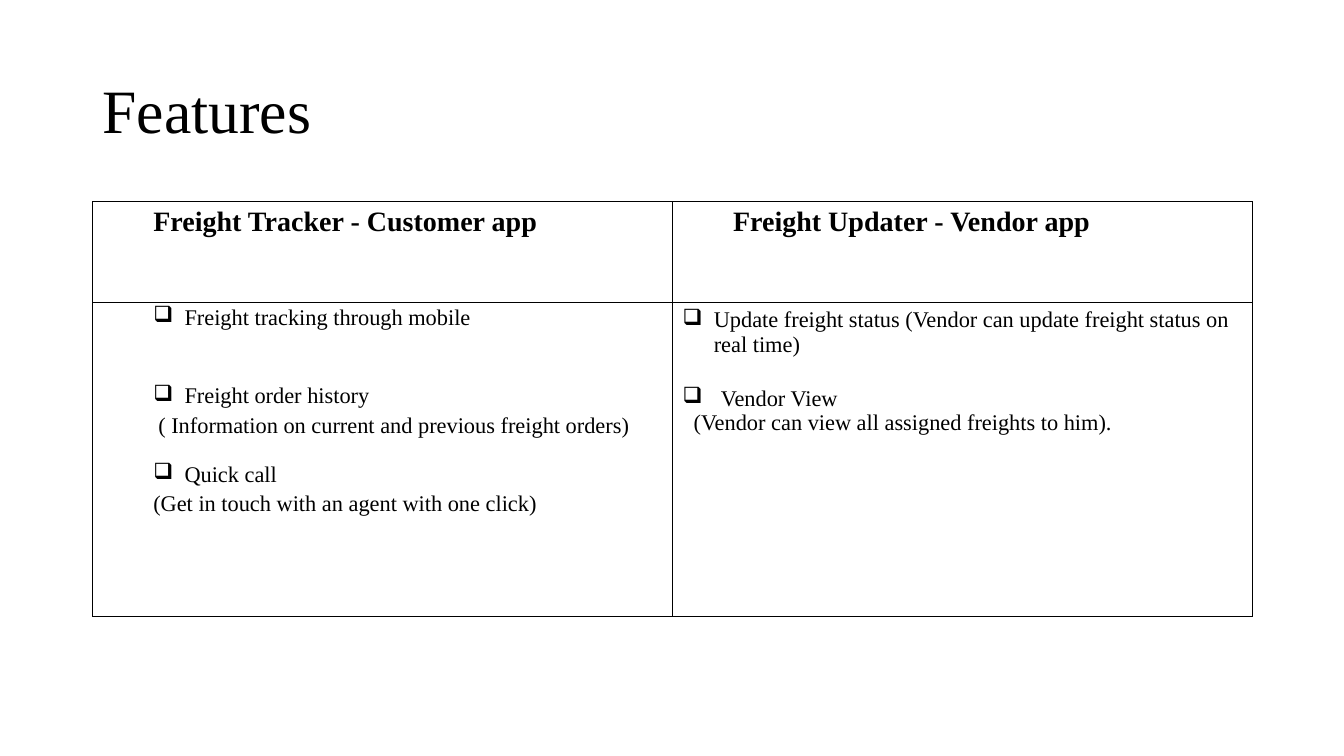
"""Build the Features slide comparing the customer and vendor freight apps."""
from dataclasses import dataclass

from lxml import etree
from pptx import Presentation
from pptx import util as u
from pptx.dml.color import RGBColor
from pptx.enum import text
from pptx.oxml.ns import qn

WIDTH, HEIGHT = 13.33, 7.5
LEFT, COLUMN = 0.92, 5.75
TABLE_TOP, HEADER_ROW, FEATURE_ROW = 2.0, 1.0, 0.78
FONT, BLACK, WHITE = "Times New Roman", "000000", "FFFFFF"


@dataclass(frozen=True)
class Line:
    words: str
    size: float = 16
    bold: bool = False
    margin: float = 0
    hanging: float = 0
    spacing: float = 1.0
    before: float = 0
    after: float = 0


def heading(words: str) -> Line:
    return Line(words, size=20, bold=True, margin=0.5, after=12)


def customer_feature(words: str) -> Line:
    return Line(words, margin=0.81, hanging=0.31, spacing=0.9, before=5)


def customer_detail(words: str, margin: float = 0.5) -> Line:
    return Line(words, margin=margin, spacing=0.9, before=5)


def vendor_feature(words: str, hanging: float = 0.31) -> Line:
    return Line(words, margin=hanging, hanging=hanging)


ROWS: list[tuple[list[Line], list[Line]]] = [
    ([heading("Freight Tracker - Customer app")],
     [heading("Freight Updater - Vendor app")]),
    ([customer_feature("Freight tracking through mobile")],
     [vendor_feature("Update freight status (Vendor can update freight status on real time)")]),
    ([customer_feature("Freight order history"),
      customer_detail("( Information on current and previous freight orders)", 0.55)],
     [vendor_feature("Vendor View", 0.38),
      Line("(Vendor can view all assigned freights to him).", margin=0.11)]),
    ([customer_feature("Quick call"),
      customer_detail("(Get in touch with an agent with one click)")], []),
    ([], []),
]


def color(value: str) -> RGBColor:
    return RGBColor.from_string(value)


def write_lines(frame, lines: list[Line]) -> None:
    for index, line in enumerate(lines):
        paragraph = frame.add_paragraph() if index else frame.paragraphs[0]
        paragraph.alignment = text.PP_ALIGN.LEFT
        paragraph.line_spacing = line.spacing
        paragraph.space_before = u.Pt(line.before)
        paragraph.space_after = u.Pt(line.after)
        properties = paragraph._p.get_or_add_pPr()
        properties.set("marL", str(u.Inches(line.margin)))
        properties.set("indent", str(-u.Inches(line.hanging)))
        if line.hanging:
            etree.SubElement(properties, qn("a:buChar")).set("char", "❑")
        run = paragraph.add_run()
        run.text = line.words
        run.font.name = FONT
        run.font.size = u.Pt(line.size)
        run.font.bold = line.bold
        run.font.color.rgb = color(BLACK)


def set_borders(cell, visible: str) -> None:
    properties = cell._tc.get_or_add_tcPr()
    for side in "LRTB":
        border = etree.SubElement(properties, qn(f"a:ln{side}"), w=str(u.Pt(1)))
        if side in visible:
            fill = etree.SubElement(border, qn("a:solidFill"))
            etree.SubElement(fill, qn("a:srgbClr")).set("val", BLACK)
        else:
            etree.SubElement(border, qn("a:noFill"))


def add_title(slide, words: str) -> None:
    shape = slide.shapes.add_textbox(
        u.Inches(LEFT), u.Inches(0.4), u.Inches(2 * COLUMN), u.Inches(1.45))
    shape.text_frame.word_wrap = True
    shape.text_frame.vertical_anchor = text.MSO_ANCHOR.MIDDLE
    write_lines(shape.text_frame, [Line(words, size=44, spacing=0.9)])


def add_feature_table(slide) -> None:
    heights = [HEADER_ROW] + [FEATURE_ROW] * (len(ROWS) - 1)
    table = slide.shapes.add_table(
        len(ROWS), 2, u.Inches(LEFT), u.Inches(TABLE_TOP),
        u.Inches(2 * COLUMN), u.Inches(sum(heights))).table
    table.first_row = table.horz_banding = False
    for column in table.columns:
        column.width = u.Inches(COLUMN)
    for index, (height, contents) in enumerate(zip(heights, ROWS)):
        table.rows[index].height = u.Inches(height)
        visible = "LR" + ("T" if index < 2 else "") + (
            "B" if index in (0, len(ROWS) - 1) else "")
        for cell, lines in zip(table.rows[index].cells, contents):
            set_borders(cell, visible)
            cell.fill.solid()
            cell.fill.fore_color.rgb = color(WHITE)
            write_lines(cell.text_frame, lines)


def main() -> None:
    presentation = Presentation()
    presentation.slide_width = u.Inches(WIDTH)
    presentation.slide_height = u.Inches(HEIGHT)
    slide = presentation.slides.add_slide(presentation.slide_layouts[6])
    add_title(slide, "Features")
    add_feature_table(slide)
    presentation.save("out.pptx")


if __name__ == "__main__":
    main()
